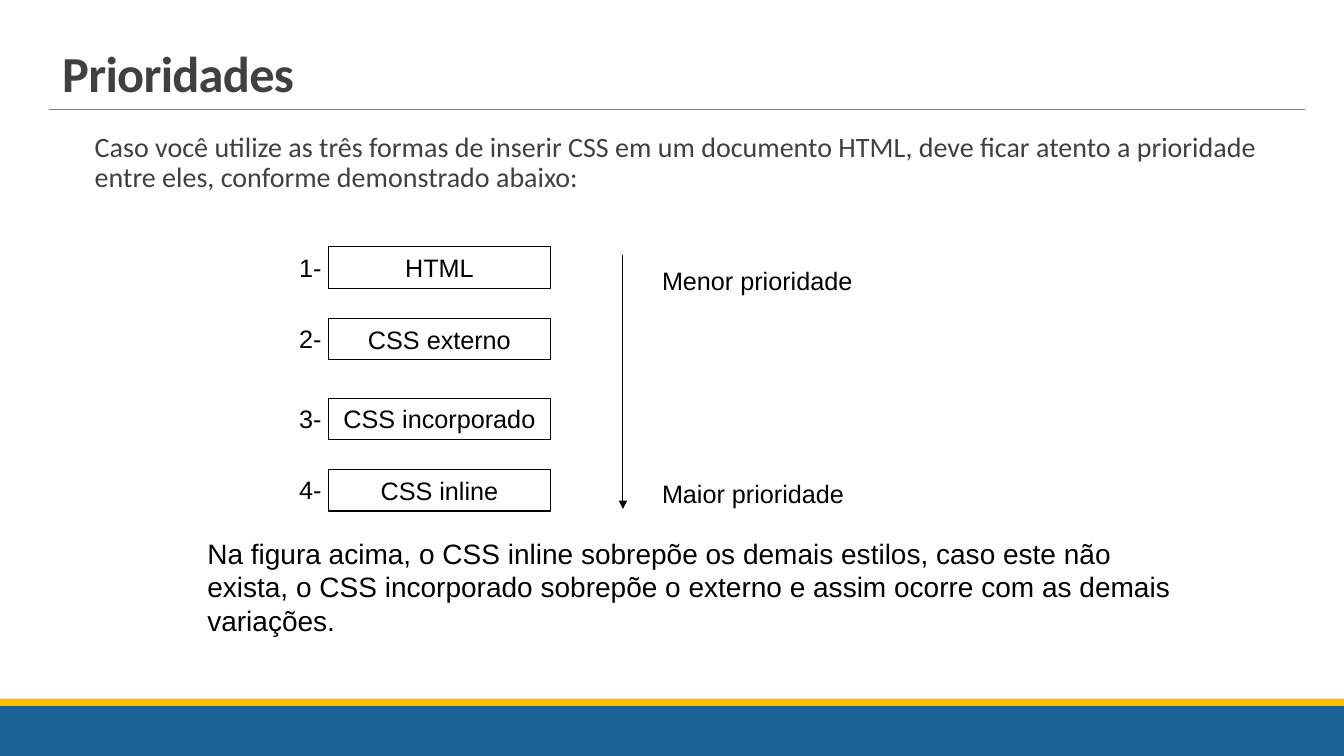
from dataclasses import dataclass

from lxml import etree
from pptx import Presentation
from pptx.dml.color import RGBColor
from pptx.enum.shapes import MSO_CONNECTOR, MSO_SHAPE
from pptx.enum.text import MSO_ANCHOR, MSO_AUTO_SIZE, PP_ALIGN
from pptx.oxml.ns import qn
from pptx.util import Pt

RECTANGLE = MSO_SHAPE.RECTANGLE
STRAIGHT = MSO_CONNECTOR.STRAIGHT
LEFT, CENTER = PP_ALIGN.LEFT, PP_ALIGN.CENTER
TOP, MIDDLE, BOTTOM = MSO_ANCHOR.TOP, MSO_ANCHOR.MIDDLE, MSO_ANCHOR.BOTTOM
GROW, FIXED = MSO_AUTO_SIZE.SHAPE_TO_FIT_TEXT, MSO_AUTO_SIZE.NONE


@dataclass(frozen=True)
class Theme:
    heading_font: str = "Calibri"
    diagram_font: str = "Arial"
    blue: str = "1C6294"
    yellow: str = "FFC000"
    rule: str = "808080"
    gray: str = "404040"
    black: str = "000000"
    title_size: float = 36
    body_size: float = 20
    label_size: float = 18


def write_text(shape, text, *, font, size, color, bold=False, align=LEFT,
               anchor=TOP, wrap=True, fit=GROW, side_inset=7.2,
               line_spacing=None, indent=0, tracking=0):
    frame = shape.text_frame
    frame.word_wrap = wrap
    frame.auto_size = fit
    frame.vertical_anchor = anchor
    frame.margin_left = frame.margin_right = Pt(side_inset)
    paragraph = frame.paragraphs[0]
    paragraph.alignment = align
    if line_spacing:
        paragraph.line_spacing = line_spacing
    if indent:
        paragraph._p.get_or_add_pPr().set("marL", str(Pt(indent)))
    run = paragraph.add_run()
    run.text = text
    run.font.name = font
    run.font.size = Pt(size)
    run.font.bold = bold
    run.font.color.rgb = RGBColor.from_string(color)
    if tracking:
        run.font._element.set("spc", str(round(tracking * 100)))


class SlideBuilder:
    def __init__(self, slide, theme):
        self.slide = slide
        self.theme = theme

    def rectangle(self, left, top, width, height, *, fill=None, line=None):
        shape = self.slide.shapes.add_shape(
            RECTANGLE, Pt(left), Pt(top), Pt(width), Pt(height))
        shape.shadow.inherit = False
        if fill:
            shape.fill.solid()
            shape.fill.fore_color.rgb = RGBColor.from_string(fill)
        else:
            shape.fill.background()
        if line:
            shape.line.color.rgb = RGBColor.from_string(line)
            shape.line.width = Pt(0.75)
        else:
            shape.line.fill.background()
        return shape

    def text(self, left, top, width, height, text, **text_format):
        shape = self.slide.shapes.add_textbox(
            Pt(left), Pt(top), Pt(width), Pt(height))
        write_text(shape, text, **text_format)

    def label(self, left, top, width, text, **text_format):
        self.text(left, top, width, 29, text, font=self.theme.diagram_font,
                  size=self.theme.label_size, color=self.theme.black,
                  **text_format)

    def box(self, left, top, width, height, text):
        shape = self.rectangle(left, top, width, height, line=self.theme.black)
        write_text(shape, text, font=self.theme.diagram_font,
                   size=self.theme.label_size, color=self.theme.black,
                   align=CENTER, anchor=MIDDLE)

    def line(self, start, end, *, color, width, arrow=False):
        connector = self.slide.shapes.add_connector(
            STRAIGHT, *(Pt(value) for value in (*start, *end)))
        connector.line.color.rgb = RGBColor.from_string(color)
        connector.line.width = Pt(width)
        if arrow:
            outline = connector.line._get_or_add_ln()
            etree.SubElement(outline, qn("a:tailEnd"), type="triangle")
        etree.SubElement(connector._element.spPr, qn("a:effectLst"))


def main():
    presentation = Presentation()
    presentation.slide_width = Pt(960)
    presentation.slide_height = Pt(540)
    theme = Theme()
    builder = SlideBuilder(
        presentation.slides.add_slide(presentation.slide_layouts[6]), theme)

    # Footer bands and title rule
    builder.rectangle(0, 504, 960, 36, fill=theme.blue)
    builder.rectangle(0, 499, 960, 5, fill=theme.yellow)
    builder.line((35, 78), (932, 78), color=theme.rule, width=0.5)

    # Title and introduction
    builder.text(37.4, 31, 692, 46, "Prioridades", font=theme.heading_font,
                 size=theme.title_size, color=theme.gray, bold=True,
                 anchor=BOTTOM, fit=FIXED, line_spacing=0.85, tracking=-0.5)
    builder.text(60.5, 91.4, 847.4, 392.4,
                 "Caso você utilize as três formas de inserir CSS em um "
                 "documento HTML, deve ficar atento a prioridade entre eles, "
                 "conforme demonstrado abaixo:",
                 font=theme.heading_font, size=theme.body_size,
                 color=theme.gray, fit=FIXED, side_inset=0,
                 line_spacing=0.9, indent=7.2)

    # Numbered boxes, in two pairs
    first_top, row_step, pair_step = 176.4, 51.1, 108
    levels = ["HTML", "CSS externo", "CSS incorporado", "CSS inline"]
    for index, level in enumerate(levels):
        pair, row = divmod(index, 2)
        top = first_top + pair * pair_step + row * row_step
        builder.box(234.7, top, 158.4, 29.5, level)
        builder.label(206.6, top, 30.2, f"{index + 1}-", wrap=False)

    # Conclusion
    builder.text(141, 379.4, 718, 80,
                 "Na figura acima, o CSS inline sobrepõe os demais estilos, "
                 "caso este não exista, o CSS incorporado sobrepõe o externo "
                 "e assim ocorre com as demais variações.",
                 font=theme.diagram_font, size=theme.body_size,
                 color=theme.black)

    # Priority arrow and its end labels
    builder.line((445, 182), (445, 363.6), color=theme.black, width=0.75,
                 arrow=True)
    builder.label(465.8, 185.8, 228, "Menor prioridade")
    builder.label(465.8, 338.4, 228, "Maior prioridade")

    presentation.save("out.pptx")


if __name__ == "__main__":
    main()
